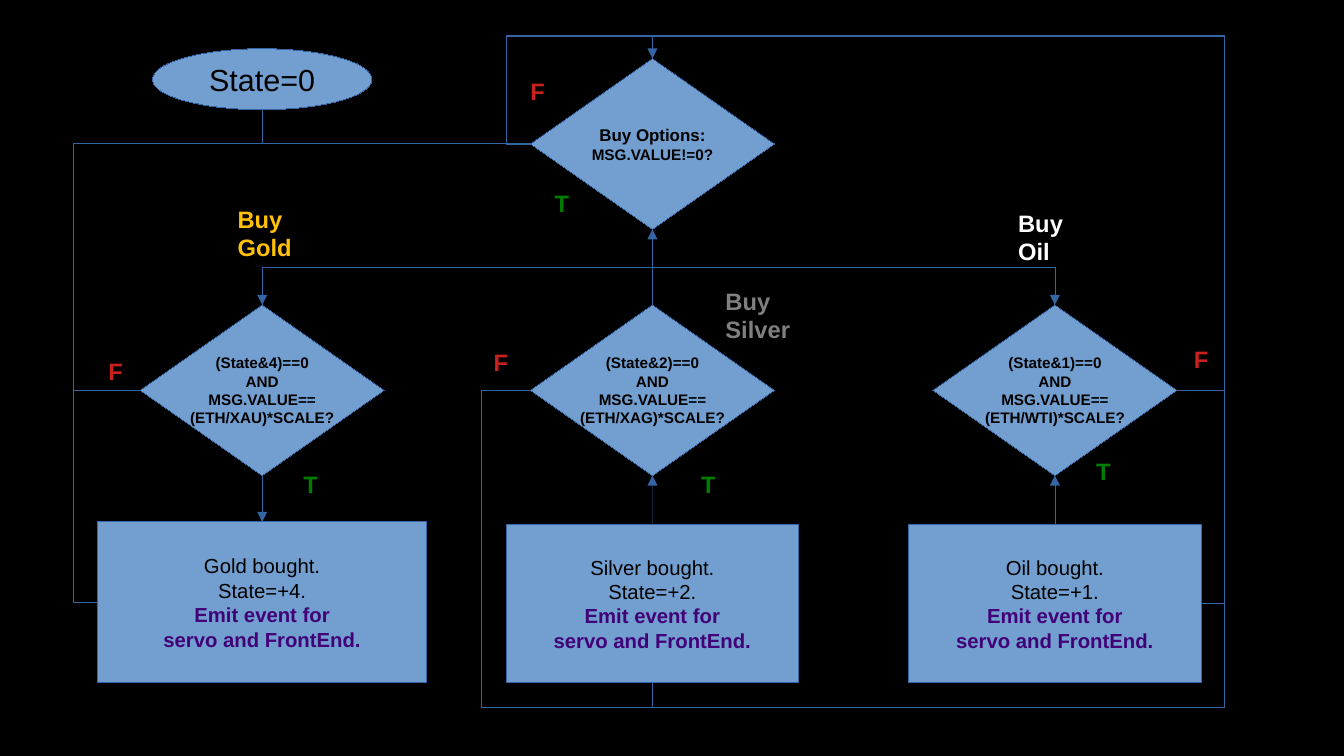
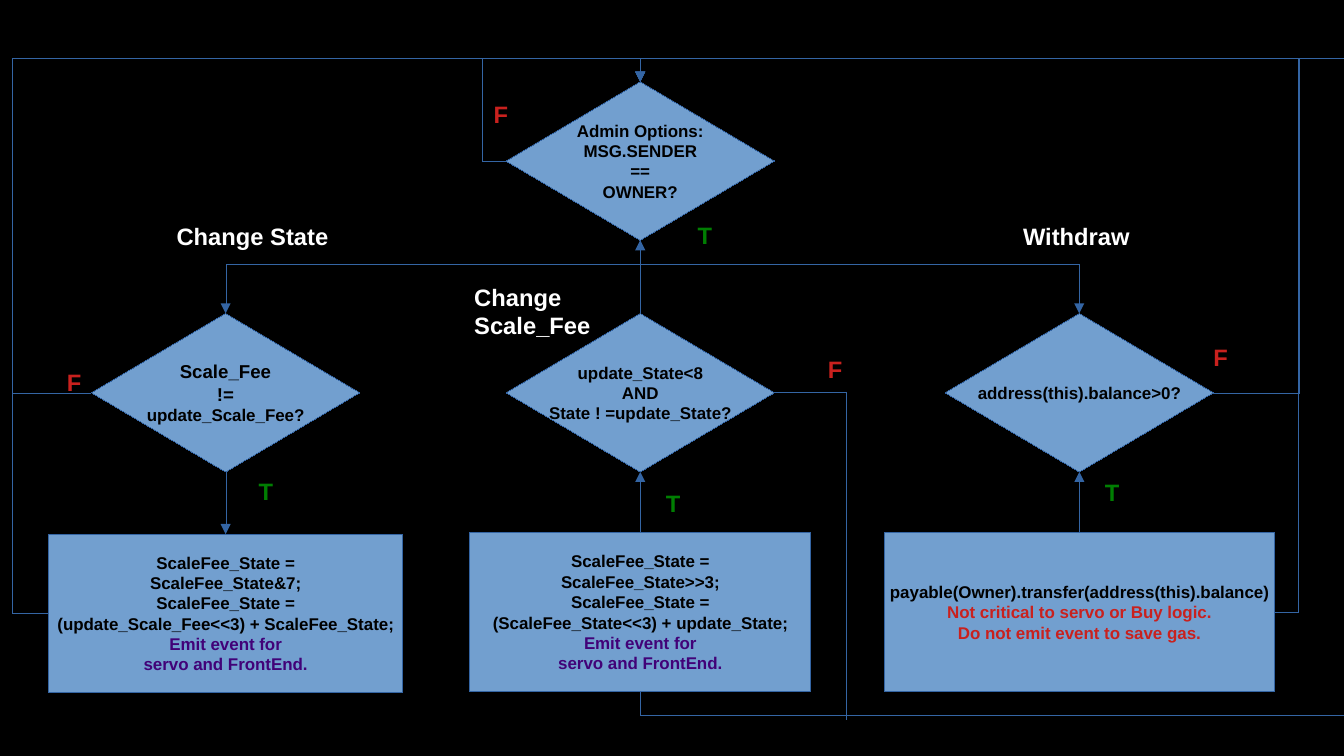
from dataclasses import dataclass
from enum import IntEnum

from lxml.etree import SubElement
from pptx import Presentation
from pptx.dml.color import RGBColor
from pptx.enum.shapes import MSO_CONNECTOR, MSO_SHAPE
from pptx.enum.text import MSO_ANCHOR, PP_ALIGN
from pptx.oxml.ns import qn
from pptx.util import Inches, Pt


@dataclass(frozen=True)
class Theme:
    background: str = "000000"
    fill: str = "729FCF"
    line: str = "3465A4"
    ink: str = "000000"
    light: str = "FFFFFF"
    event: str = "410278"
    false: str = "C9211E"
    true: str = "007E02"
    gold: str = "FFC107"
    silver: str = "808080"
    font: str = "Arial"
    start_size: float = 18
    label_size: float = 14
    action_size: float = 12
    large_check_size: float = 11
    check_size: float = 10
    small_check_size: float = 9


THEME = Theme()


class Side(IntEnum):
    """Connection sites of rectangles and diamonds."""
    TOP = 0
    LEFT = 1
    BOTTOM = 2
    RIGHT = 3


def write_text(shape, lines, **text_format):
    """Write one paragraph per line; a line may be (text, own format)."""
    frame = shape.text_frame
    for number, line in enumerate(lines):
        text, own_format = (line, {}) if isinstance(line, str) else line
        style = {**text_format, **own_format}
        paragraph = frame.paragraphs[0] if number == 0 else frame.add_paragraph()
        paragraph.alignment = style.get("align", PP_ALIGN.CENTER)
        run = paragraph.add_run()
        run.text = text
        run.font.name = THEME.font
        run.font.size = Pt(style["size"])
        run.font.bold = style.get("bold", True)
        run.font.color.rgb = RGBColor.from_string(style.get("color", THEME.ink))


class FlowChart:
    """Holds the presentation style and the slide being drawn."""

    def __init__(self, theme):
        self.theme = theme
        self.deck = Presentation()
        self.deck.slide_width = Inches(11.02)
        self.deck.slide_height = Inches(6.2)
        backdrop = self.deck.slide_master.background.fill
        backdrop.solid()
        backdrop.fore_color.rgb = RGBColor.from_string(theme.background)
        self.slide = None

    def new_slide(self):
        self.slide = self.deck.slides.add_slide(self.deck.slide_layouts[6])

    def hairline(self, line):
        line.color.rgb = RGBColor.from_string(self.theme.line)
        outline = line._get_or_add_ln()
        outline.set("w", "0")  # an explicit zero, which line.width leaves out
        return outline

    def node(self, kind, box, lines, **text_format):
        shape = self.slide.shapes.add_shape(kind, *map(Inches, box))
        shape.shadow.inherit = False
        shape.fill.solid()
        shape.fill.fore_color.rgb = RGBColor.from_string(self.theme.fill)
        self.hairline(shape.line)
        shape.text_frame.word_wrap = False
        shape.text_frame.vertical_anchor = MSO_ANCHOR.MIDDLE
        write_text(shape, lines, **text_format)
        return shape

    def check(self, box, lines, **text_format):
        return self.node(MSO_SHAPE.DIAMOND, box, lines, **text_format)

    def action(self, box, lines, **text_format):
        return self.node(MSO_SHAPE.RECTANGLE, box, lines, **text_format)

    def label(self, box, *lines, color, align=PP_ALIGN.LEFT):
        caption = self.slide.shapes.add_textbox(*map(Inches, box))
        caption.text_frame.word_wrap = True
        write_text(caption, lines, size=self.theme.label_size, color=color, align=align)

    def outcomes(self, text, color, places, align=PP_ALIGN.LEFT):
        for left, top in places:
            self.label((left, top, 0.46, 0.32), text, color=color, align=align)

    def route(self, *stops, arrow=False):
        """Join stops, each an (x, y) point or a (shape, Side) port."""
        points = [self.position(stop) for stop in stops]
        kind = MSO_CONNECTOR.STRAIGHT if len(stops) == 2 else MSO_CONNECTOR.ELBOW
        link = self.slide.shapes.add_connector(kind, *points[0], *points[-1])
        if isinstance(stops[0][1], Side):
            link.begin_connect(*stops[0])
        if isinstance(stops[-1][1], Side):
            link.end_connect(*stops[-1])
        if len(points) > 2:
            self.bend(link, points)
        outline = self.hairline(link.line)
        if arrow:
            SubElement(outline, qn("a:tailEnd"), type="triangle")
        SubElement(link._element.spPr, qn("a:effectLst"))

    @staticmethod
    def bend(link, points):
        """Shape an elbow connector so that it turns at the inner points."""
        (x0, y0), (x1, y1) = points[0], points[-1]
        dx, dy = x1 - x0, y1 - y0
        upright = abs(points[1][0] - x0) < abs(points[1][1] - y0)
        width, height = (abs(dy), abs(dx)) if upright else (abs(dx), abs(dy))
        link.left, link.top = (x0 + x1 - width) // 2, (y0 + y1 - height) // 2
        link.width, link.height = width, height

        # Turn and flip the frame so that it runs from first to last point
        if upright:
            turn, flips = (90 if dx <= 0 else 270), ("flipH" if dx > 0 else "")
            if dy < 0:
                turn, flips = 270, ("flipV" if dx < 0 else "")
            flips = [flips] if flips else []
        elif dx > 0 > dy:
            turn, flips = 180, ["flipH"]
        else:
            turn = 0
            flips = [name for name, run in (("flipH", dx), ("flipV", dy)) if run < 0]
        frame = link._element.spPr.find(qn("a:xfrm"))
        for name in ("flipH", "flipV"):
            frame.attrib.pop(name, None)
        for name in flips:
            frame.set(name, "1")
        if turn:
            frame.set("rot", str(turn * 60000))

        # Each turn but the last is a share of the way, by axis in turn
        geometry = link._element.spPr.find(qn("a:prstGeom"))
        geometry.set("prst", f"bentConnector{len(points) - 1}")
        guides = geometry.find(qn("a:avLst"))
        for number, (x, y) in enumerate(points[1:-2], start=1):
            sideways = (number % 2 == 1) != upright
            share = (x - x0) / dx if sideways else (y - y0) / dy
            SubElement(guides, qn("a:gd"), name=f"adj{number}",
                       fmla=f"val {round(share * 100000)}")

    @staticmethod
    def position(stop):
        place, side = stop
        if not isinstance(side, Side):
            return Inches(place), Inches(side)
        across = {Side.LEFT: 0, Side.RIGHT: 2}.get(side, 1)
        down = {Side.TOP: 0, Side.BOTTOM: 2}.get(side, 1)
        return (place.left + place.width * across // 2,
                place.top + place.height * down // 2)

    def branches(self, decision, checks, actions, centers, split_y):
        """Fan out from the decision and link each check with its action."""
        left_x, middle_x, right_x = centers
        left, middle, right = checks
        self.route((middle, Side.TOP), (decision, Side.BOTTOM), arrow=True)
        for side_check, x in ((left, left_x), (right, right_x)):
            self.route((decision, Side.BOTTOM), (middle_x, split_y), (x, split_y),
                       (side_check, Side.TOP), arrow=True)
        self.route((left, Side.BOTTOM), (actions[0], Side.TOP), arrow=True)
        for check, action in zip(checks[1:], actions[1:]):
            self.route((action, Side.TOP), (check, Side.BOTTOM), arrow=True)


def buy_options(chart):
    chart.new_slide()
    centers = gold_x, silver_x, oil_x = 2.15, 5.35, 8.65

    # Start, decision, checks and actions
    chart.node(MSO_SHAPE.OVAL, (1.25, 0.4, 1.8, 0.5), ["State=0"],
               size=THEME.start_size, bold=False)
    decision = chart.check(
        (silver_x - 1, 0.48, 2, 1.4),
        [("Buy Options:", {"size": THEME.check_size}), "MSG.VALUE!=0?"],
        size=THEME.small_check_size)
    checks, actions = [], []
    event = {"color": THEME.event, "bold": True}
    for metal, bit, pair, x, box in (
            ("Gold", 4, "XAU", gold_x, (0.8, 4.28, 2.7, 1.32)),
            ("Silver", 2, "XAG", silver_x, (4.15, 4.3, 2.4, 1.3)),
            ("Oil", 1, "WTI", oil_x, (7.45, 4.3, 2.4, 1.3))):
        checks.append(chart.check(
            (x - 1, 2.5, 2, 1.4),
            [f"(State&{bit})==0", "AND", "MSG.VALUE==", f"(ETH/{pair})*SCALE?"],
            size=THEME.small_check_size))
        actions.append(chart.action(
            box,
            [f"{metal} bought.", f"State=+{bit}.",
             ("Emit event for", event), ("servo and FrontEnd.", event)],
            size=THEME.action_size, bold=False))

    # Labels
    chart.label((1.85, 1.63, 1.06, 0.97), "Buy Gold", color=THEME.gold)
    chart.label((5.85, 2.3, 0.8, 0.54), "Buy Silver", color=THEME.silver)
    chart.label((8.25, 1.66, 0.7, 0.54), "Buy", "Oil", color=THEME.light)
    chart.outcomes("F", THEME.false,
                   [(4.25, 0.58), (0.79, 2.88), (3.95, 2.8), (9.69, 2.78)])
    chart.outcomes("T", THEME.true,
                   [(4.45, 1.5), (2.39, 3.8), (5.65, 3.8), (8.89, 3.7)])

    # Branches and return lanes
    chart.branches(decision, checks, actions, centers, split_y=2.19)
    gold, silver, oil = checks
    gold_bought, silver_bought, oil_bought = actions
    left_lane, right_lane, loop_x = 0.6, 10.04, 4.15
    top_lane, inner_top_lane, bottom_lane = 0.29, 0.3, 5.8
    for source, y in ((gold_bought, 4.94), (gold, 3.2)):
        chart.route((source, Side.LEFT), (left_lane, y), (left_lane, 1.18),
                    (decision, Side.LEFT))
    chart.route((gold_x, 0.9), (gold_x, 1.18))
    chart.route((silver, Side.LEFT), (3.95, 3.2), (3.95, bottom_lane),
                (silver_x, bottom_lane), (silver_bought, Side.BOTTOM))
    chart.route((decision, Side.LEFT), (loop_x, 1.18), (loop_x, top_lane),
                (silver_x, top_lane), (decision, Side.TOP), arrow=True)
    chart.route((silver_bought, Side.BOTTOM), (silver_x, bottom_lane),
                (right_lane, bottom_lane), (right_lane, 4.95), (oil_bought, Side.RIGHT))
    for source, y, lane in ((oil_bought, 4.95, inner_top_lane), (oil, 3.2, top_lane)):
        chart.route((source, Side.RIGHT), (right_lane, y), (right_lane, lane),
                    (loop_x, lane))


def admin_options(chart):
    chart.new_slide()
    centers = state_x, fee_x, withdraw_x = 1.85, 5.25, 8.85
    event = {"color": THEME.event}
    warning = {"color": THEME.false}
    large = {"size": THEME.large_check_size}
    emit = [("Emit event for", event), ("servo and FrontEnd.", event)]

    # Decision, checks and actions
    decision = chart.check((fee_x - 1.1, 0.67, 2.2, 1.3),
                           ["Admin Options:", "MSG.SENDER", "==", "OWNER?"],
                           size=THEME.check_size)
    checks = [
        chart.check((x - 1.1, 2.57, 2.2, 1.3), lines, size=THEME.check_size)
        for x, lines in zip(centers, (
            [("Scale_Fee", large), ("!=", large), "update_Scale_Fee?"],
            ["update_State<8", "AND", "State ! =update_State?"],
            ["address(this).balance>0?"]))]
    actions = [
        chart.action((x - width / 2, top, width, 1.3), lines, size=THEME.check_size)
        for x, top, width, lines in zip(centers, (4.38, 4.37, 4.37), (2.9, 2.8, 3.2), (
            ["ScaleFee_State =", "ScaleFee_State&7;", "ScaleFee_State =",
             "(update_Scale_Fee<<3) + ScaleFee_State;", *emit],
            ["ScaleFee_State =", "ScaleFee_State>>3;", "ScaleFee_State =",
             "(ScaleFee_State<<3) + update_State;", *emit],
            ["payable(Owner).transfer(address(this).balance)",
             ("Not critical to servo or Buy logic.", warning),
             ("Do not emit event to save gas.", warning)]))]

    # Labels
    for text, left, top in (("Change State", 1.35, 1.77), ("Change Scale_Fee", 3.79, 2.27),
                            ("Withdraw", 8.29, 1.77)):
        chart.label((left, top, 1.46, 0.75), text, color=THEME.light)
    chart.outcomes("F", THEME.false,
                   [(3.95, 0.77), (0.45, 2.97), (6.69, 2.86), (9.85, 2.76)])
    chart.outcomes("T", THEME.true,
                   [(5.55, 1.76), (1.95, 3.86), (5.29, 3.96), (8.89, 3.87)],
                   align=PP_ALIGN.CENTER)

    # Branches and return lanes
    chart.branches(decision, checks, actions, centers, split_y=2.17)
    state, fee, withdraw = checks
    state_changed, fee_changed, withdrawn = actions
    left_lane, right_lane, slide_edge = 0.1, 10.65, 11.02
    top_lane, bottom_lane = 0.48, 5.87
    for source, side, lane, y in ((decision, Side.LEFT, 3.95, 1.32),
                                  (state_changed, Side.LEFT, left_lane, 5.03),
                                  (state, Side.LEFT, left_lane, 3.22),
                                  (withdrawn, Side.RIGHT, right_lane, 5.02),
                                  (withdraw, Side.RIGHT, right_lane, 3.22)):
        chart.route((source, side), (lane, y), (lane, top_lane), (fee_x, top_lane),
                    (decision, Side.TOP), arrow=True)
    chart.route((fee_changed, Side.BOTTOM), (fee_x, bottom_lane))
    for lane in (bottom_lane, top_lane):
        chart.route((fee_x, lane), (slide_edge, lane))
    chart.route((fee, Side.RIGHT), (6.94, 3.22), (6.94, 5.9))


def main():
    chart = FlowChart(THEME)
    buy_options(chart)
    admin_options(chart)
    chart.deck.save("out.pptx")


if __name__ == "__main__":
    main()
